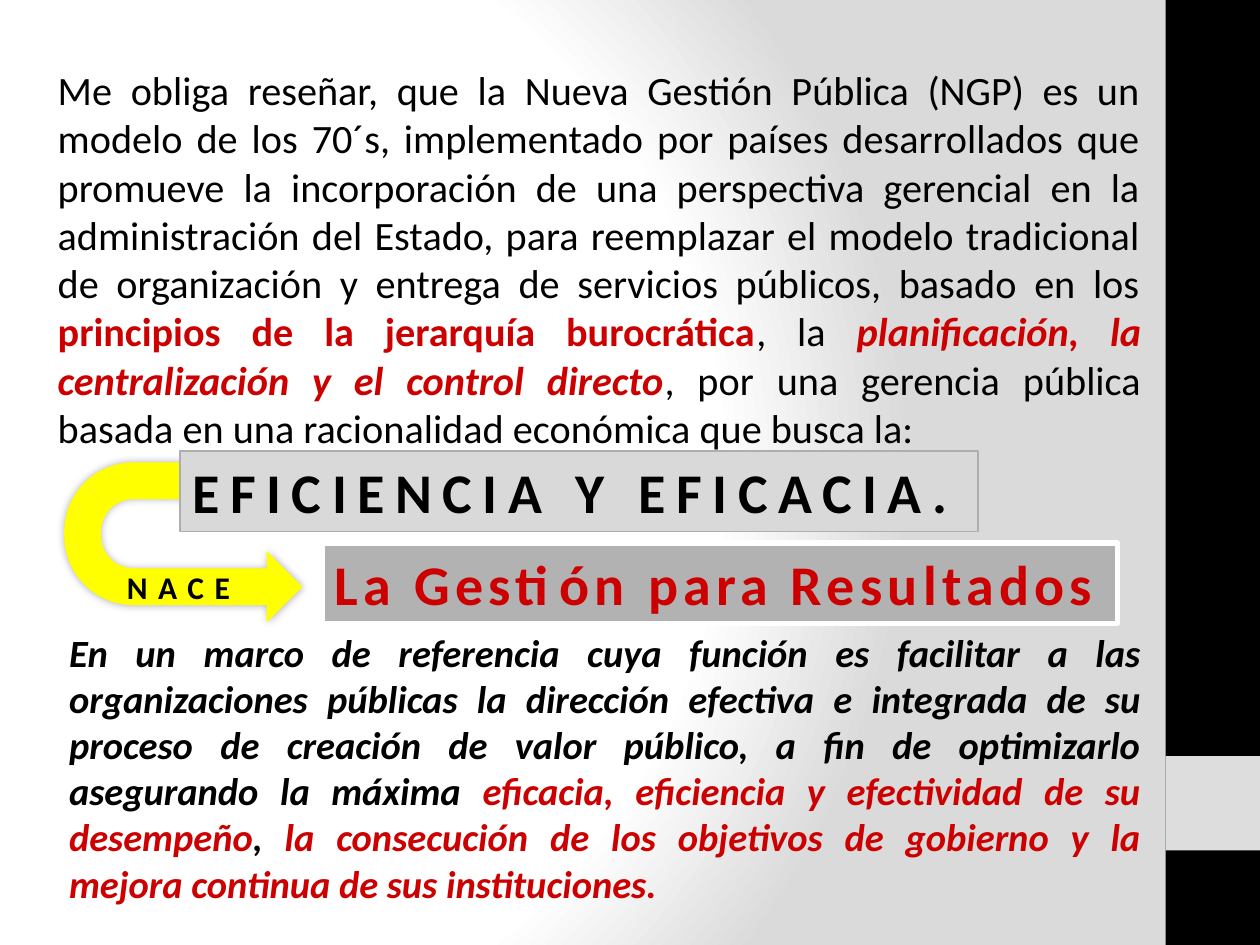
"""Build the slide on the New Public Management and results-based management."""
from lxml import etree
from pptx import Presentation
from pptx import util as u
from pptx.dml.color import RGBColor
from pptx.enum import shapes, text
from pptx.oxml import parse_xml
from pptx.oxml.ns import qn

INK = {"black": "000000", "red": "CC0000", "yellow": "FFFF00", "white": "FFFFFF",
       "fade": "DADADA", "tab": "DDDDDD", "light": "D9D9D9", "edge": "AEAEAE",
       "mid": "B2B2B2"}
NS = "http://schemas.openxmlformats.org/drawingml/2006/main"


def block(kind, at, fill, line=None, width=1):
    item = page.shapes.add_shape(kind, *map(u.Inches, at))
    item.shadow.inherit = False
    item.fill.solid()
    item.fill.fore_color.rgb = RGBColor.from_string(INK[fill])
    if line:
        item.line.color.rgb = RGBColor.from_string(INK[line])
        item.line.width = u.Pt(width)
    else:
        item.line.fill.background()
    return item


def write(box, parts, size, align=text.PP_ALIGN.LEFT, gap=0, wrap=True):
    frame = box.text_frame
    frame.word_wrap = wrap
    frame.auto_size = text.MSO_AUTO_SIZE.SHAPE_TO_FIT_TEXT
    frame.vertical_anchor = text.MSO_ANCHOR.TOP
    para = frame.paragraphs[0]
    para.alignment = align
    for words, tint, bold, slant in parts:
        run = para.add_run()
        run.text = words
        font = run.font
        font.name, font.size = "Calibri", u.Pt(size)
        font.bold, font.italic = bold, slant
        font.color.rgb = RGBColor.from_string(INK[tint])
        if gap:
            run._r.get_or_add_rPr().set("spc", str(gap * 100))


deck = Presentation()
deck.slide_width, deck.slide_height = u.Inches(10), u.Inches(7.5)
page = deck.slides.add_slide(deck.slide_layouts[6])
RECT = shapes.MSO_SHAPE.RECTANGLE
JUST = text.PP_ALIGN.JUSTIFY

page.background.fill.solid()
solid = next(page.element.iter(qn("a:solidFill")))
stops = "".join(f'<a:gs pos="{pos}000"><a:srgbClr val="{INK[tint]}"/></a:gs>'
                for pos, tint in ((0, "white"), (75, "white"), (100, "fade")))
solid.getparent().replace(solid, parse_xml(
    f'<a:gradFill xmlns:a="{NS}" rotWithShape="1"><a:gsLst>{stops}</a:gsLst>'
    '<a:path path="circle"><a:fillToRect l="20000" t="50000" r="100000" b="50000"/>'
    '</a:path></a:gradFill>'))

block(RECT, (9.25, 0, 0.75, 7.5), "black")
block(RECT, (9.25, 6, 0.75, 0.75), "tab")

arrow = block(shapes.MSO_SHAPE.U_TURN_ARROW, (0.82, 3.36, 1.27, 1.89), "yellow")
for spot, size in enumerate((0.23, 0.223, 0.223, 0.433, 1)):
    arrow.adjustments[spot] = size
arrow.rotation = 90
arrow._element.spPr.find(qn("a:xfrm")).set("flipV", "1")
glow = etree.SubElement(arrow._element.spPr.find(qn("a:effectLst")),
                        qn("a:outerShdw"), blurRad="63500", dist="0")
tone = etree.SubElement(glow, qn("a:srgbClr"), val=INK["black"])
etree.SubElement(tone, qn("a:alpha"), val="30000")

intro = page.shapes.add_textbox(*map(u.Inches, (0.36, 0.47, 8.8, 3.2)))
write(intro, [
    ("Me obliga reseñar, que la Nueva Gestión Pública (NGP) es un modelo de los 70´s, "
     "implementado por países desarrollados que promueve la incorporación de una "
     "perspectiva gerencial en la administración del Estado, para reemplazar el modelo "
     "tradicional de organización y entrega de servicios públicos, basado en los ",
     "black", False, False),
    ("principios de la jerarquía burocrática", "red", True, False),
    (", la ", "black", False, False),
    ("planificación, la centralización y el control directo", "red", True, True),
    (", por una gerencia pública basada en una racionalidad económica que busca la:",
     "black", False, False)], 23, JUST)

frame = page.shapes.add_textbox(*map(u.Inches, (0.45, 4.94, 8.7, 2.32)))
write(frame, [
    ("En un marco de referencia cuya función es facilitar a las organizaciones públicas "
     "la dirección efectiva e integrada de su proceso de creación de valor público, a fin "
     "de optimizarlo asegurando la máxima ", "black", True, True),
    ("eficacia, eficiencia y efectividad de su desempeño", "red", True, True),
    (", ", "black", True, True),
    ("la consecución de los objetivos de gobierno y la mejora continua de sus "
     "instituciones.", "red", True, True)], 22, JUST)

goal = block(RECT, (1.43, 3.58, 6.33, 0.64), "light", "edge")
write(goal, [("EFICIENCIA Y EFICACIA.", "black", True, False)], 32, JUST, 6, False)

result = block(RECT, (2.56, 4.31, 6.31, 0.64), "mid", "white", 3)
write(result, [("La Gestión para Resultados", "red", True, False)], 32, gap=3, wrap=False)

birth = page.shapes.add_textbox(*map(u.Inches, (0.91, 4.46, 1.5, 0.4)))
write(birth, [("NACE", "black", True, False)], 18, gap=6)

deck.save("out.pptx")
